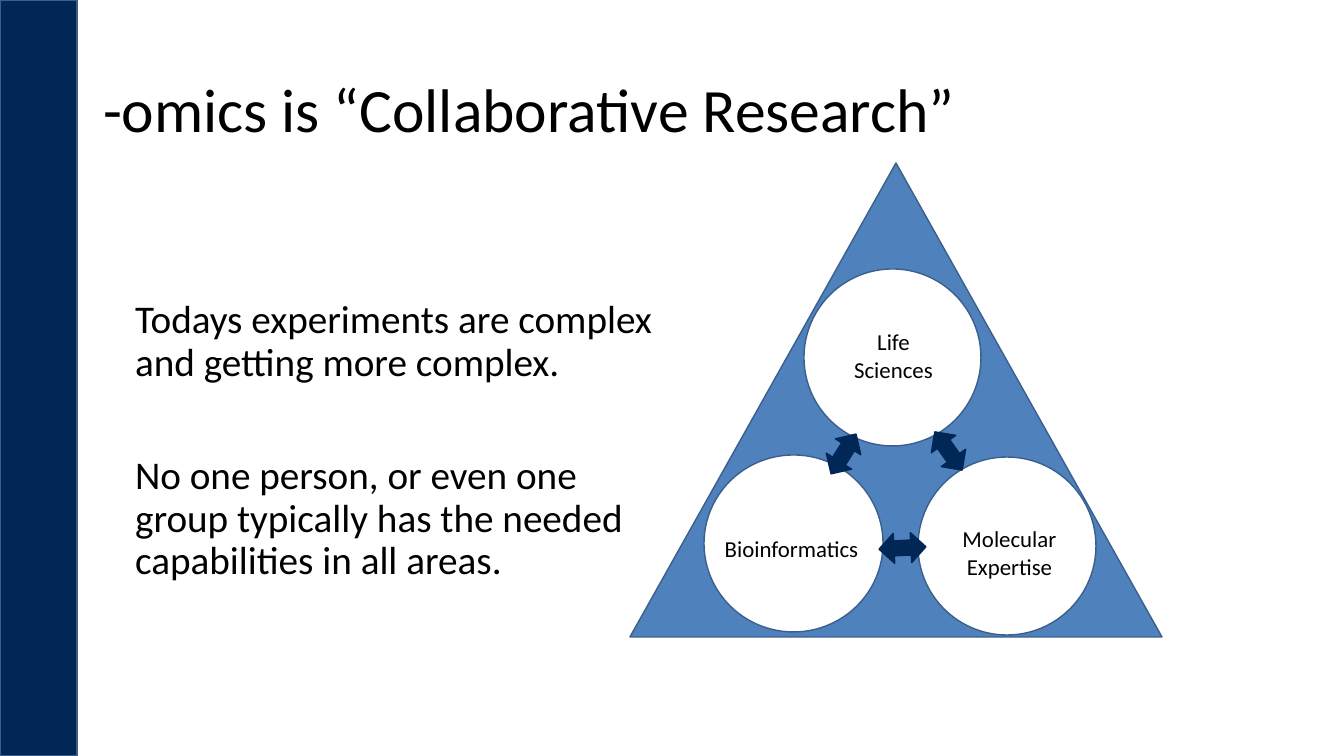
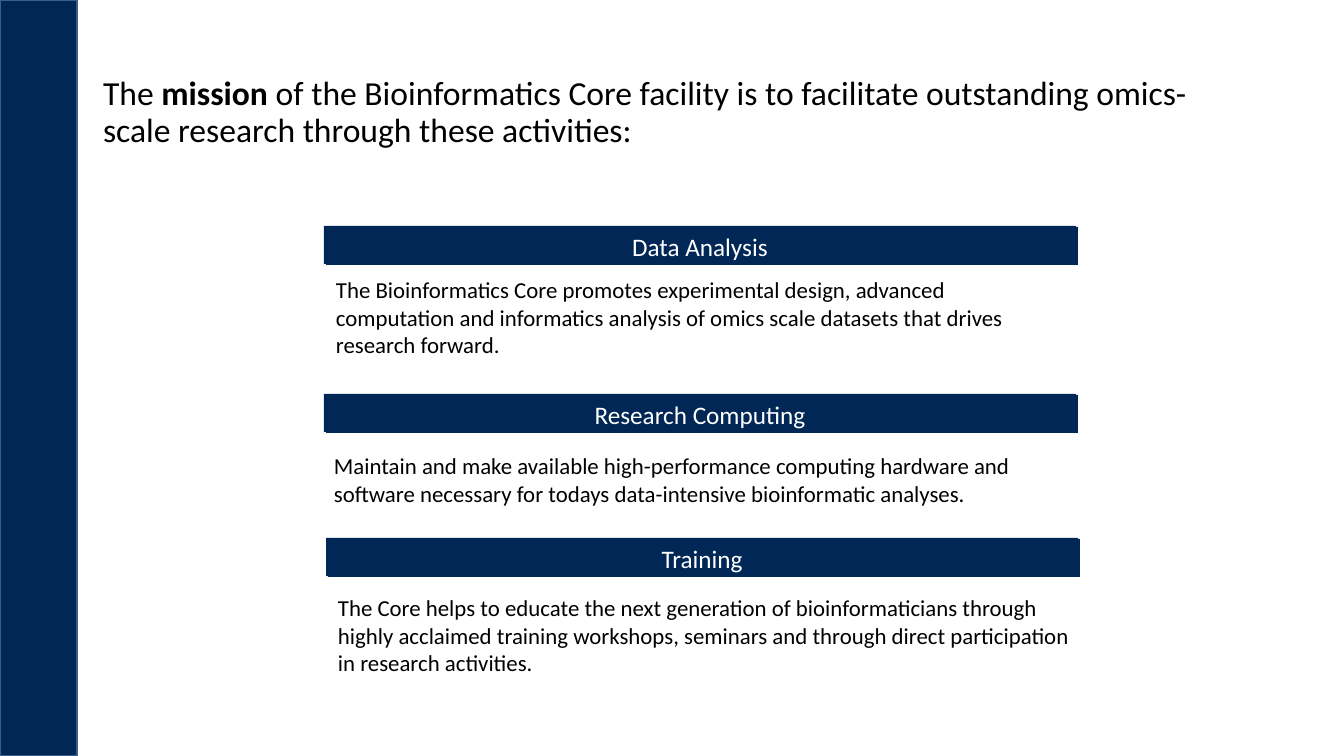
from dataclasses import dataclass

from lxml import etree
from pptx import Presentation
from pptx.dml.color import RGBColor
from pptx.enum.shapes import MSO_SHAPE
from pptx.enum.text import MSO_ANCHOR, MSO_AUTO_SIZE, PP_ALIGN
from pptx.oxml.ns import qn
from pptx.presentation import Presentation as Deck
from pptx.shapes.autoshape import Shape
from pptx.slide import Slide
from pptx.text.text import TextFrame
from pptx.util import Pt

RECTANGLE = MSO_SHAPE.RECTANGLE
TRIANGLE = MSO_SHAPE.ISOSCELES_TRIANGLE
CIRCLE = MSO_SHAPE.OVAL
DOUBLE_ARROW = MSO_SHAPE.LEFT_RIGHT_ARROW
LEFT, CENTER = PP_ALIGN.LEFT, PP_ALIGN.CENTER
MIDDLE = MSO_ANCHOR.MIDDLE
FIXED, GROW = MSO_AUTO_SIZE.NONE, MSO_AUTO_SIZE.SHAPE_TO_FIT_TEXT

NAVY = RGBColor(0x00, 0x27, 0x55)
BLUE = RGBColor(0x4F, 0x81, 0xBD)
EDGE_BLUE = RGBColor(0x3A, 0x5F, 0x8C)
WHITE = RGBColor(0xFF, 0xFF, 0xFF)
BLACK = RGBColor(0x00, 0x00, 0x00)

FONT = "Calibri"
LABEL_SIZE = 16.3
HEADING_SIZE = 18
BODY_SIZE = 28
TIGHT = 0.9

EMU_PER_PIXEL = 914400 / 100.8
SLIDE_WIDTH, SLIDE_HEIGHT = 1344, 756
TITLE_LAYOUT, TITLE_AND_BODY_LAYOUT = 5, 1


@dataclass(frozen=True)
class Box:
    """A frame in pixels."""
    left: int
    top: int
    width: int
    height: int

    def shifted(self, right: int, down: int) -> "Box":
        """Return the same frame moved by an offset."""
        return Box(self.left + right, self.top + down, self.width, self.height)


@dataclass(frozen=True)
class Run:
    """A stretch of text in one weight."""
    text: str
    bold: bool = False


@dataclass(frozen=True)
class Partner:
    """A field of expertise: its circle, and its label."""
    circle: Box
    label: Box
    lines: tuple[str, ...]


@dataclass(frozen=True)
class Link:
    """A two-way arrow between two partners."""
    box: Box
    angle: float


@dataclass(frozen=True)
class Activity:
    """A headed part of the mission."""
    heading: str
    bar: Box
    description: str
    description_box: Box


SIDE_BAND = Box(0, 0, 77, SLIDE_HEIGHT)
TITLE_BOX = Box(93, 40, 1159, 146)
BODY_BOX = Box(125, 238, 546, 437)
BODY_TOP_INSET = 62
BODY_GAP = 50.8
PYRAMID = Box(630, 163, 532, 474)

STATEMENTS = (
    "Todays experiments are complex and getting more complex.",
    "No one person, or even one group typically has the needed "
    "capabilities in all areas.",
)
PARTNERS = (
    Partner(Box(804, 269, 177, 177), Box(807, 323, 173, 66), ("Life", "Sciences")),
    Partner(Box(704, 455, 179, 177), Box(705, 530, 173, 38), ("Bioinformatics",)),
    Partner(Box(918, 457, 178, 178), Box(923, 520, 173, 66),
            ("Molecular", "Expertise")),
)
LINKS = (
    Link(Box(925, 436, 47, 30), 54.5),
    Link(Box(820, 439, 47, 30), 122.1),
    Link(Box(879, 533, 47, 30), 357.1),
)
MISSION = (
    Run("The "),
    Run("mission", bold=True),
    Run(" of the Bioinformatics Core facility is to facilitate outstanding "
        "omics- scale research through these activities:"),
)
ACTIVITIES = (
    Activity(
        "Data Analysis", Box(324, 226, 752, 38),
        "The Bioinformatics Core promotes experimental design, advanced "
        "computation and informatics analysis of omics scale datasets that "
        "drives research forward.",
        Box(326, 271, 752, 94)),
    Activity(
        "Research Computing", Box(324, 394, 752, 38),
        "Maintain and make available high-performance computing hardware and "
        "software necessary for todays data-intensive bioinformatic analyses.",
        Box(324, 447, 752, 66)),
    Activity(
        "Training", Box(326, 538, 752, 38),
        "The Core helps to educate the next generation of bioinformaticians "
        "through highly acclaimed training workshops, seminars and through "
        "direct participation in research activities.",
        Box(328, 589, 752, 94)),
)


def px(pixels: int) -> int:
    """Convert pixels to EMU."""
    return round(pixels * EMU_PER_PIXEL)


def frame(box: Box) -> tuple[int, int, int, int]:
    """Return a box as EMU left, top, width and height."""
    return px(box.left), px(box.top), px(box.width), px(box.height)


def place(shape: Shape, box: Box) -> None:
    """Move and size an existing shape."""
    shape.left, shape.top, shape.width, shape.height = frame(box)


def write(text: TextFrame, paragraphs: tuple[tuple[Run, ...], ...], size: float,
          color: RGBColor = BLACK, align: PP_ALIGN = LEFT,
          spacing: float = 1.0, gap: float = 0) -> None:
    """Fill a text frame run by run, with a gap between paragraphs."""
    for index, runs in enumerate(paragraphs):
        paragraph = text.add_paragraph() if index else text.paragraphs[0]
        paragraph.alignment = align
        paragraph.line_spacing = spacing
        paragraph.space_before = Pt(gap if index else 0)
        for part in runs:
            run = paragraph.add_run()
            run.text = part.text
            run.font.name = FONT
            run.font.size = Pt(size)
            run.font.bold = part.bold
            run.font.color.rgb = color


def add_label(shapes, box: Box, lines: tuple[str, ...], size: float,
              color: RGBColor = BLACK, align: PP_ALIGN = LEFT) -> None:
    """Add a wrapping text box, one paragraph a line."""
    text = shapes.add_textbox(*frame(box)).text_frame
    text.word_wrap = True
    text.auto_size = GROW
    write(text, tuple((Run(line),) for line in lines), size, color, align)


def add_figure(shapes, kind: MSO_SHAPE, box: Box, fill: RGBColor,
               edge: RGBColor | None = None) -> Shape:
    """Add a flat preset shape, with a thin outline if an edge is given."""
    figure = shapes.add_shape(kind, *frame(box))
    figure.shadow.inherit = False
    figure.fill.solid()
    figure.fill.fore_color.rgb = fill
    if edge is None:
        figure.line.fill.background()
    else:
        figure.line.color.rgb = edge
        figure.line.width = Pt(1)
    return figure


def set_up_master(deck: Deck, slide: Slide) -> None:
    """Give the master its side band, built on a slide and moved over."""
    master = deck.slide_master
    band = add_figure(slide.shapes, RECTANGLE, SIDE_BAND, NAVY, EDGE_BLUE)
    band.element.nvSpPr.cNvPr.set("id", "100")
    master.shapes.element.insert(2, band.element)
    place(master.placeholders[0], TITLE_BOX)


def set_title(slide: Slide, runs: tuple[Run, ...], size: float) -> None:
    """Fill the title placeholder in the shared style."""
    text = slide.shapes.title.text_frame
    text.word_wrap = True
    text.auto_size = FIXED
    text.vertical_anchor = MIDDLE
    write(text, (runs,), size, spacing=TIGHT)


def set_body(slide: Slide, statements: tuple[str, ...]) -> None:
    """Fill the body placeholder with unbulleted statements."""
    body = slide.placeholders[1]
    place(body, BODY_BOX)
    text = body.text_frame
    text.auto_size = FIXED
    text.margin_top = px(BODY_TOP_INSET)
    write(text, tuple((Run(line),) for line in statements), BODY_SIZE,
          spacing=TIGHT, gap=BODY_GAP)
    for paragraph in text.paragraphs:
        properties = paragraph._p.get_or_add_pPr()
        properties.set("marL", "0")
        properties.set("indent", "0")
        etree.SubElement(properties, qn("a:buNone"))


def add_activity(slide: Slide, activity: Activity) -> None:
    """Add a heading bar of two offset layers, and its description."""
    heading = slide.shapes.add_group_shape().shapes
    for layer in (activity.bar, activity.bar.shifted(2, 1)):
        add_figure(heading, RECTANGLE, layer, NAVY)
    add_label(heading, activity.bar, (activity.heading,), HEADING_SIZE, WHITE, CENTER)
    add_label(slide.shapes, activity.description_box, (activity.description,),
              LABEL_SIZE)


def build_collaboration(slide: Slide) -> None:
    """Draw the pyramid of linked partners beside the statements."""
    set_title(slide, (Run("-omics is “Collaborative Research”"),), 44)
    set_body(slide, STATEMENTS)
    add_figure(slide.shapes, TRIANGLE, PYRAMID, BLUE, EDGE_BLUE)
    for partner in PARTNERS:
        add_figure(slide.shapes, CIRCLE, partner.circle, WHITE, EDGE_BLUE)
    for link in LINKS:
        arrow = add_figure(slide.shapes, DOUBLE_ARROW, link.box, NAVY, NAVY)
        arrow.rotation = link.angle
    for partner in PARTNERS:
        add_label(slide.shapes, partner.label, partner.lines, LABEL_SIZE,
                  align=CENTER)


def build_mission(slide: Slide) -> None:
    """Draw the mission and its activities."""
    set_title(slide, MISSION, 24)
    for activity in ACTIVITIES:
        add_activity(slide, activity)


def main() -> None:
    """Build and save the presentation."""
    deck = Presentation()
    deck.slide_width, deck.slide_height = px(SLIDE_WIDTH), px(SLIDE_HEIGHT)
    collaboration = deck.slides.add_slide(deck.slide_layouts[TITLE_AND_BODY_LAYOUT])
    mission = deck.slides.add_slide(deck.slide_layouts[TITLE_LAYOUT])
    set_up_master(deck, collaboration)
    build_collaboration(collaboration)
    build_mission(mission)
    deck.save("out.pptx")


main()
